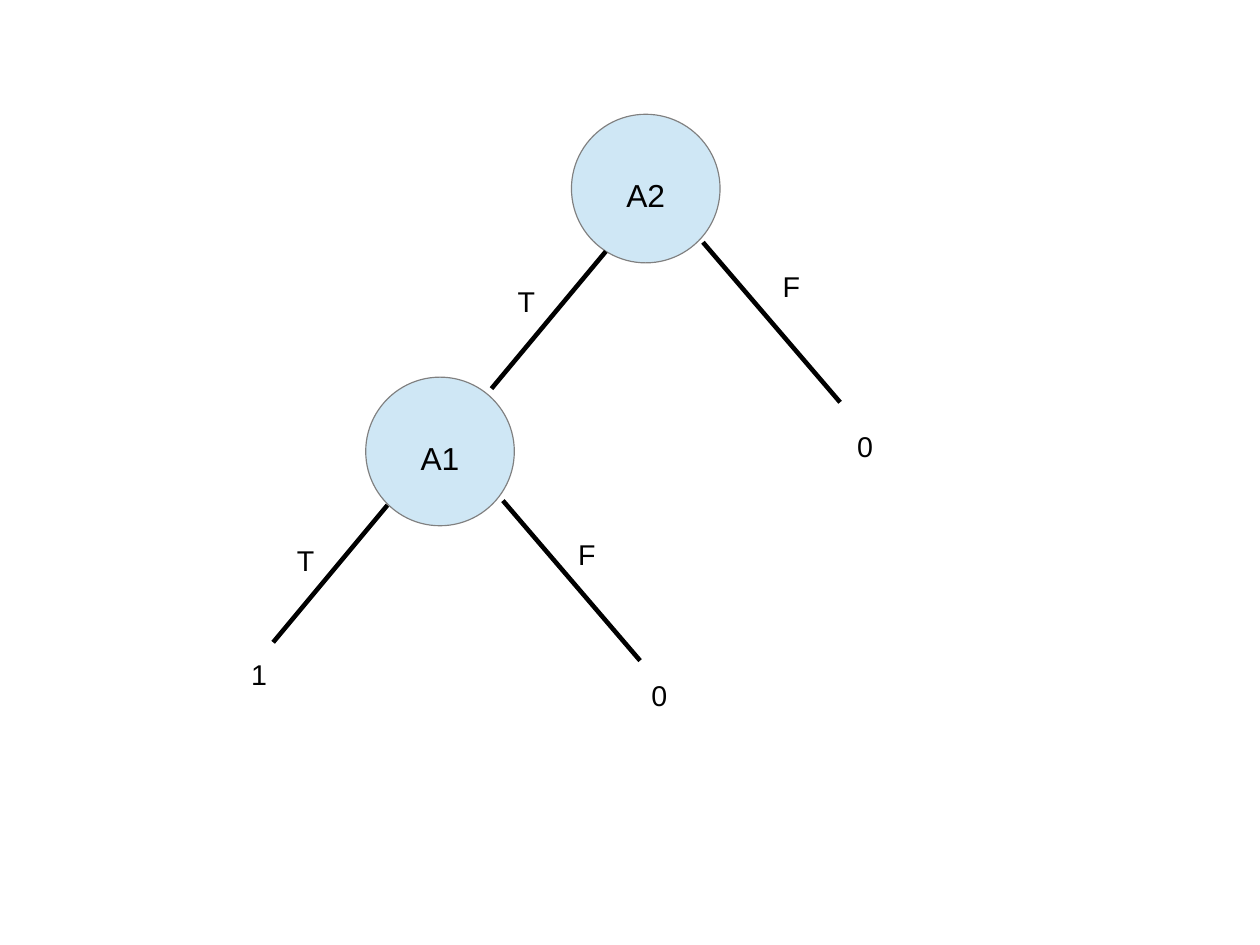
from dataclasses import dataclass

import pptx
import pptx.dml.color
import pptx.enum.shapes
import pptx.enum.text
import pptx.oxml.ns
import pptx.util
from lxml import etree

BLACK = pptx.dml.color.RGBColor(0x00, 0x00, 0x00)
GREY = pptx.dml.color.RGBColor(0x80, 0x80, 0x80)
PALE_BLUE = pptx.dml.color.RGBColor(0xCF, 0xE7, 0xF5)

# Grid: ten columns and ten rows to the inch
CELL = pptx.util.Inches(0.1)
NODE_SIZE = 13
LABEL_WIDTH, LABEL_HEIGHT = 6, 5

# Columns and rows that each kind of branch spans
BRANCH_SPANS = {"T": (-10, 12), "F": (12, 14)}


@dataclass(frozen=True)
class Node:
    name: str
    column: float
    row: float


@dataclass(frozen=True)
class Branch:
    answer: str
    column: float
    row: float


@dataclass(frozen=True)
class Label:
    text: str
    column: float
    row: float


NODES = [Node("A2", 50, 10), Node("A1", 32, 33)]
BRANCHES = [
    Branch("T", 53, 22),
    Branch("F", 61.5, 21.2),
    Branch("T", 33.9, 44.2),
    Branch("F", 44, 43.8),
]
LABELS = [
    Label("T", 44.3, 23.3),
    Label("F", 67.5, 22),
    Label("T", 25, 46),
    Label("F", 49.6, 45.5),
    Label("0", 74, 36),
    Label("1", 21, 56),
    Label("0", 56, 57.8),
]


def grid(*counts: float) -> list[int]:
    return [round(count * CELL) for count in counts]


def write_text(box, text: str, *, size: int, align, anchor, wrap: bool) -> None:
    frame = box.text_frame
    frame.word_wrap = wrap
    frame.vertical_anchor = anchor
    para = frame.paragraphs[0]
    para.alignment = align
    para.line_spacing = 1.34
    span = para.add_run()
    span.text = text
    span.font.name = "Arial"
    span.font.size = pptx.util.Pt(size)
    span.font.color.rgb = BLACK


def draw_node(tree, node: Node) -> None:
    circle = tree.shapes.add_shape(
        pptx.enum.shapes.MSO_SHAPE.OVAL,
        *grid(node.column, node.row, NODE_SIZE, NODE_SIZE),
    )
    circle.shadow.inherit = False
    circle.fill.solid()
    circle.fill.fore_color.rgb = PALE_BLUE
    circle.line.color.rgb = GREY
    circle.line.width = pptx.util.Pt(0.75)
    write_text(circle, node.name, size=20, wrap=False,
               align=pptx.enum.text.PP_ALIGN.CENTER,
               anchor=pptx.enum.text.MSO_ANCHOR.MIDDLE)


def draw_branch(tree, branch: Branch) -> None:
    across, down = BRANCH_SPANS[branch.answer]
    line = tree.shapes.add_connector(
        pptx.enum.shapes.MSO_CONNECTOR.STRAIGHT,
        *grid(branch.column, branch.row, branch.column + across, branch.row + down),
    )
    line.line.color.rgb = BLACK
    line.line.width = pptx.util.Pt(2.89)
    etree.SubElement(line._element.spPr, pptx.oxml.ns.qn("a:effectLst"))


def draw_label(tree, label: Label) -> None:
    box = tree.shapes.add_textbox(
        *grid(label.column, label.row, LABEL_WIDTH, LABEL_HEIGHT)
    )
    write_text(box, label.text, size=18, wrap=True,
               align=pptx.enum.text.PP_ALIGN.LEFT,
               anchor=pptx.enum.text.MSO_ANCHOR.TOP)


def main() -> None:
    deck = pptx.Presentation()
    deck.slide_width = pptx.util.Cm(28)
    deck.slide_height = pptx.util.Cm(21)
    page = deck.slides.add_slide(deck.slide_layouts[6])
    tree = page.shapes.add_group_shape()

    # Decision nodes
    for node in NODES:
        draw_node(tree, node)
    # Branches between nodes and leaves
    for branch in BRANCHES:
        draw_branch(tree, branch)
    # Branch answers and leaf values
    for label in LABELS:
        draw_label(tree, label)

    deck.save("out.pptx")


if __name__ == "__main__":
    main()
